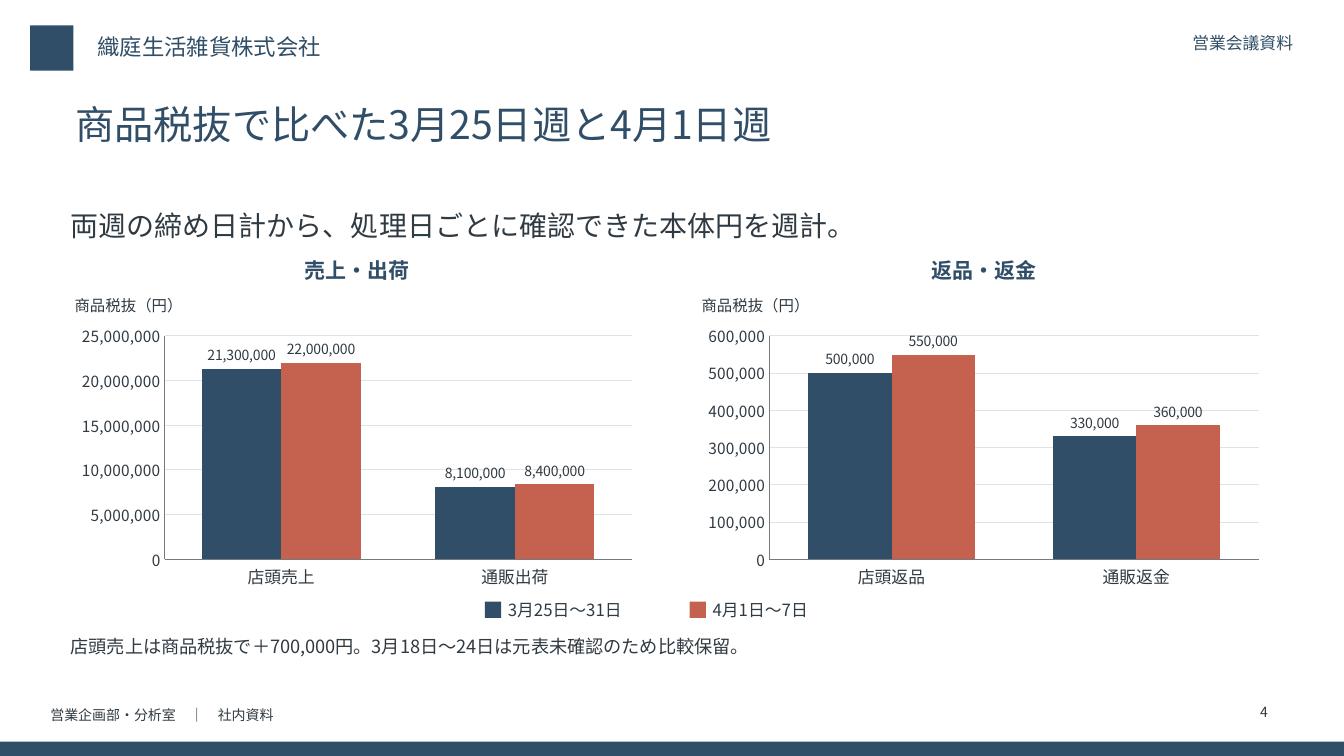
from lxml.etree import SubElement
from pptx import Presentation
from pptx.chart.data import CategoryChartData
from pptx.dml.color import RGBColor
from pptx.enum.chart import XL_CHART_TYPE, XL_LABEL_POSITION, XL_TICK_MARK
from pptx.enum.shapes import MSO_SHAPE
from pptx.enum.text import MSO_ANCHOR, MSO_AUTO_SIZE, PP_ALIGN
from pptx.oxml import parse_xml
from pptx.oxml.ns import nsdecls, qn
from pptx.util import Cm, Pt

FACE = "Noto Sans CJK JP"
HUES = {"navy": "304E67", "red": "C5614F", "ink": "303A42", "grid": "DCE4E9", "axis": "737B81"}
WEEKS = [("3月25日〜31日", "navy"), ("4月1日〜7日", "red")]
PANELS = [
    ("売上・出荷", ["店頭売上", "通販出荷"],
     [(21300000, 8100000), (22000000, 8400000)], 25000000, 5000000, 0.164),
    ("返品・返金", ["店頭返品", "通販返金"],
     [(500000, 330000), (550000, 360000)], 600000, 100000, 0.125),
]


class Deck:
    """Holds the style and the current slide, and draws each kind of element."""

    def __init__(self):
        self.prs = Presentation()
        self.prs.slide_width, self.prs.slide_height = Cm(33.87), Cm(19.05)
        self.slide = self.prs.slides.add_slide(self.prs.slide_layouts[5])
        self.shapes = self.slide.shapes

    def hue(self, name):
        return RGBColor.from_string(HUES[name])

    def style(self, font, size, hue="ink", bold=False):
        font.size, font.bold = Pt(size), bold
        font.color.rgb = self.hue(hue)
        font.name = FACE
        SubElement(font._element, qn("a:ea")).set("typeface", FACE)

    def put(self, frame, words, size, hue, bold=False, align=PP_ALIGN.LEFT):
        frame.word_wrap = True
        frame.auto_size = MSO_AUTO_SIZE.NONE
        frame.vertical_anchor = MSO_ANCHOR.TOP
        para = frame.paragraphs[0]
        para.alignment = align
        run = para.add_run()
        run.text = words
        self.style(run.font, size, hue, bold)
        return para

    def title(self, words, *box):
        head = self.shapes.title
        head.left, head.top, head.width, head.height = map(Cm, box)
        self.put(head.text_frame, words, 28, "navy").line_spacing = 0.9

    def label(self, words, *box, size, hue="ink", **look):
        frame = self.shapes.add_textbox(*map(Cm, box)).text_frame
        self.put(frame, words, size, hue, **look)

    def text(self, words, *box, size, hue="ink", **look):
        frame = self.shapes.add_textbox(*map(Cm, box)).text_frame
        frame.margin_left = frame.margin_right = frame.margin_top = frame.margin_bottom = 0
        para = self.put(frame, words, size, hue, **look)
        para.line_spacing, para.space_after = 1.16, Pt(7)

    def block(self, hue, *box):
        shape = self.shapes.add_shape(MSO_SHAPE.RECTANGLE, *map(Cm, box))
        shape.shadow.inherit = False
        shape.fill.solid()
        shape.fill.fore_color.rgb = self.hue(hue)
        shape.line.fill.background()

    def axis(self, axis, size):
        axis.major_tick_mark = axis.minor_tick_mark = XL_TICK_MARK.NONE
        axis.format.line.color.rgb = self.hue("axis")
        axis.format.line.width = Pt(0.75)
        self.style(axis.tick_labels.font, size)

    def chart(self, names, rows, top, step, inset, *box):
        data = CategoryChartData(number_format="#,##0")
        data.categories = names
        for (week, _), row in zip(WEEKS, rows):
            data.add_series(week, row)
        chart = self.shapes.add_chart(XL_CHART_TYPE.COLUMN_CLUSTERED, *map(Cm, box), data).chart
        chart.has_legend = chart.has_title = False
        self.style(chart.font, 11)
        self.axis(chart.category_axis, 12)
        scale = chart.value_axis
        self.axis(scale, 11)
        scale.minimum_scale, scale.maximum_scale, scale.major_unit = 0, top, step
        scale.tick_labels.number_format = "#,##0"
        scale.tick_labels.number_format_is_linked = False
        scale.major_gridlines.format.line.color.rgb = self.hue("grid")
        scale.major_gridlines.format.line.width = Pt(0.75)
        plot = chart.plots[0]
        plot.gap_width, plot.overlap, plot.vary_by_categories = 94, 0, False
        plot.has_data_labels = True
        tags = plot.data_labels
        tags.show_value = True
        tags.position = XL_LABEL_POSITION.OUTSIDE_END
        tags.number_format, tags.number_format_is_linked = "#,##0", False
        self.style(tags.font, 10)
        for bars, (_, hue) in zip(plot.series, WEEKS):
            bars.format.fill.solid()
            bars.format.fill.fore_color.rgb = self.hue(hue)
        self.place(chart, inset)

    def place(self, chart, inset):
        area = chart._chartSpace.chart.plotArea
        for old in area.findall(qn("c:layout")):
            area.remove(old)
        sides = {"x": inset, "y": 0.06, "w": 0.98 - inset, "h": 0.815}
        marks = '<c:layoutTarget val="inner"/><c:xMode val="edge"/><c:yMode val="edge"/>'
        marks += "".join(f'<c:{key} val="{val:.3f}"/>' for key, val in sides.items())
        area.insert(0, parse_xml(
            f'<c:layout {nsdecls("c")}><c:manualLayout>{marks}</c:manualLayout></c:layout>'))


def main():
    deck = Deck()
    deck.block("navy", 0.76, 0.64, 1.09, 1.14)
    deck.block("navy", 0, 18.69, 33.87, 0.36)
    deck.label("織庭生活雑貨株式会社", 2.21, 0.71, 15.24, 1.02, size=16, hue="navy")
    deck.label("営業会議資料", 24.51, 0.71, 8.33, 1.02, size=12, hue="navy", align=PP_ALIGN.RIGHT)
    deck.label("営業企画部・分析室　｜　社内資料", 1.02, 17.68, 22.86, 0.64, size=10)
    deck.title("商品税抜で比べた3月25日週と4月1日週", 1.65, 2.54, 30.48, 1.78)
    deck.text("4", 30.48, 17.65, 1.47, 0.71, size=10, align=PP_ALIGN.RIGHT)
    deck.text("両週の締め日計から、処理日ごとに確認できた本体円を週計。",
              1.78, 5.13, 30.23, 1.02, size=20)
    for i, (head, *facts) in enumerate(PANELS):
        left = 1.78 + i * 15.8
        deck.text(head, left, 6.4, 14.43, 0.81, size=15, hue="navy", bold=True,
                  align=PP_ALIGN.CENTER)
        deck.text("商品税抜（円）", left + 0.1, 7.39, 6.1, 0.61, size=11)
        deck.chart(*facts, left, 8.05, 14.43, 6.91)
    for i, (week, hue) in enumerate(WEEKS):
        left = 12.22 + i * 5.16
        deck.block(hue, left, 15.16, 0.41, 0.41)
        deck.text(week, left + 0.58, 15.04, 4.65, 0.71, size=12)
    deck.text("店頭売上は商品税抜で＋700,000円。3月18日〜24日は元表未確認のため比較保留。",
              1.78, 15.93, 30.23, 0.81, size=13)
    deck.prs.save("out.pptx")


if __name__ == "__main__":
    main()
